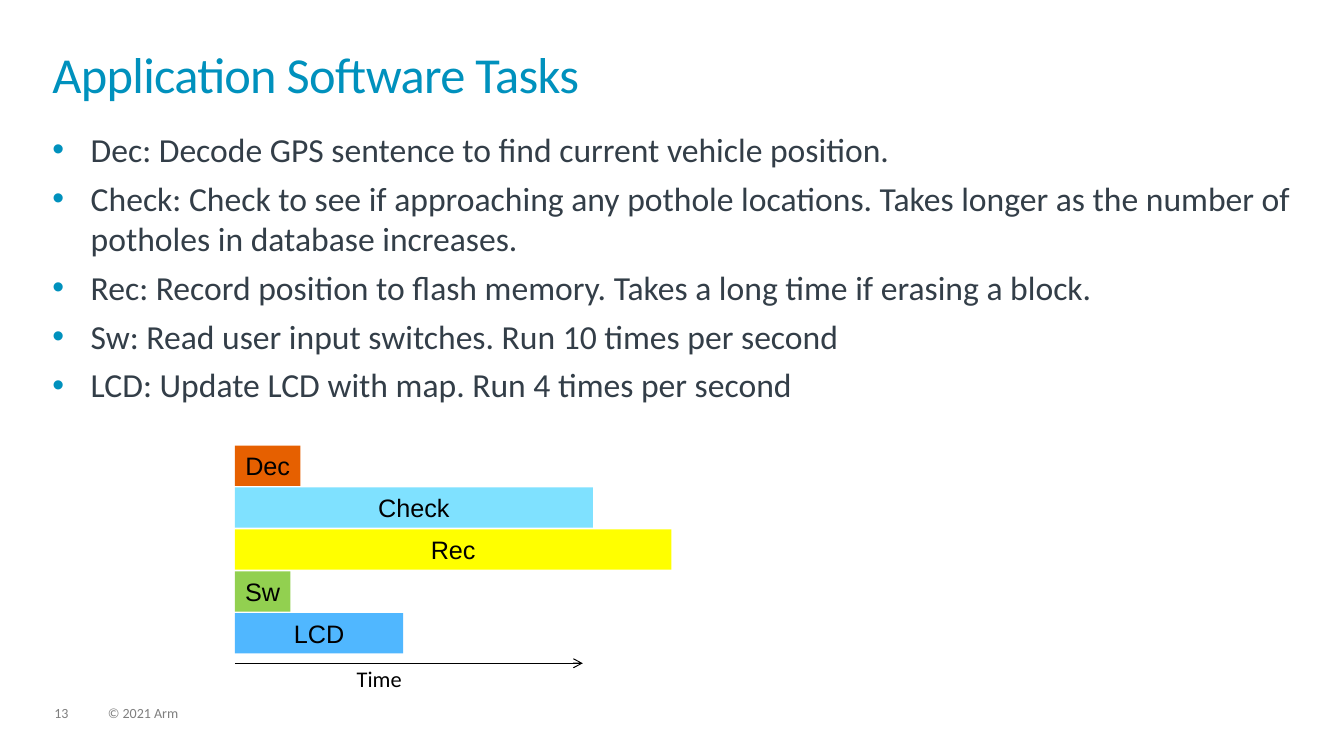
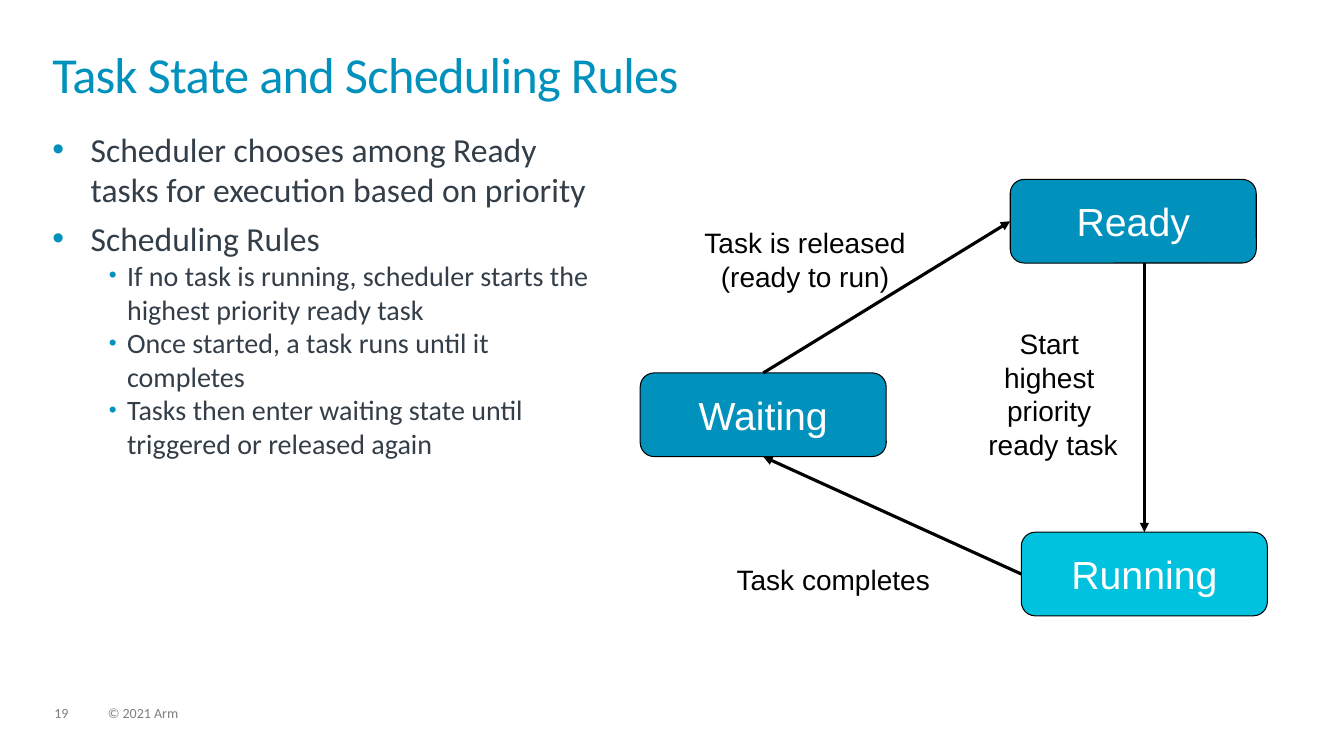
from dataclasses import dataclass

import lxml.etree
import pptx
import pptx.dml.color
import pptx.enum.shapes
import pptx.enum.text
import pptx.oxml
import pptx.oxml.ns
import pptx.util

Inches = pptx.util.Inches
Pt = pptx.util.Pt
SHAPES = pptx.enum.shapes.MSO_SHAPE
ALIGN = pptx.enum.text.PP_ALIGN
ANCHOR = pptx.enum.text.MSO_ANCHOR
qn = pptx.oxml.ns.qn


@dataclass(frozen=True)
class Theme:
    # Colours
    accent: str = "0091BD"
    active: str = "00C1DE"
    body: str = "333E48"
    footer: str = "7F7F7F"
    black: str = "000000"
    white: str = "FFFFFF"
    # Fonts
    text_font: str = "Calibri"
    diagram_font: str = "Arial"
    # Type sizes in points
    title_size: int = 36
    body_sizes: tuple = (24, 20)
    state_size: int = 28
    label_size: int = 20
    bar_size: int = 18
    axis_size: int = 16
    footer_size: int = 10


THEME = Theme()
TITLE_BOX = (0.52, 0.52, 12.28, 0.72)
# Per level: left margin, hanging indent, space before (pt), bullet size (%)
BULLET_LEVELS = ((0.38, 0.38, 6, 100), (0.74, 0.18, 0, 80))


def rgb(value):
    return pptx.dml.color.RGBColor.from_string(value)


def style(paragraph, size, color, font):
    for run in paragraph.runs:
        run.font.size = Pt(size)
        run.font.name = font
        run.font.color.rgb = rgb(color)


def add_text(slide, box, paragraphs, size, color, font=THEME.text_font,
             align=ALIGN.LEFT, inset=True, wrap=True):
    frame = slide.shapes.add_textbox(*map(Inches, box)).text_frame
    frame.word_wrap = wrap
    if not inset:
        frame.margin_left = frame.margin_right = 0
        frame.margin_top = frame.margin_bottom = 0
    for index, text in enumerate(paragraphs):
        paragraph = frame.add_paragraph() if index else frame.paragraphs[0]
        paragraph.text = text
        paragraph.alignment = align
        style(paragraph, size, color, font)
    return frame


def add_block(slide, kind, box, label, fill, size, color):
    block = slide.shapes.add_shape(kind, *map(Inches, box))
    block.shadow.inherit = False
    block.fill.solid()
    block.fill.fore_color.rgb = rgb(fill)
    block.line.fill.background()
    frame = block.text_frame
    frame.text = label
    frame.word_wrap = False
    frame.vertical_anchor = ANCHOR.MIDDLE
    frame.paragraphs[0].alignment = ALIGN.CENTER
    style(frame.paragraphs[0], size, color, THEME.diagram_font)
    return block


def add_arrow(slide, start, end, width, head):
    arrow = slide.shapes.add_connector(
        pptx.enum.shapes.MSO_CONNECTOR.STRAIGHT, *start, *end)
    arrow.line.color.rgb = rgb(THEME.black)
    arrow.line.width = Pt(width)
    lxml.etree.SubElement(arrow.line._get_or_add_ln(), qn("a:tailEnd"), type=head)
    lxml.etree.SubElement(arrow._element.spPr, qn("a:effectLst"))
    return arrow


def add_bullet(paragraph, margin, hanging, percent):
    properties = paragraph._p.get_or_add_pPr()
    properties.set("marL", str(Inches(margin)))
    properties.set("indent", str(-Inches(hanging)))
    color = lxml.etree.SubElement(properties, qn("a:buClr"))
    lxml.etree.SubElement(color, qn("a:srgbClr"), val=THEME.accent)
    lxml.etree.SubElement(properties, qn("a:buSzPct"), val=str(percent * 1000))
    lxml.etree.SubElement(properties, qn("a:buFont"), typeface="Arial")
    lxml.etree.SubElement(properties, qn("a:buChar"), char="•")


def bullet_list(slide, box, items):
    """Place (level, text) items as a bulleted list."""
    frame = add_text(slide, box, [text for _, text in items],
                     THEME.body_sizes[0], THEME.body, inset=False)
    for index, (paragraph, (level, _)) in enumerate(zip(frame.paragraphs, items)):
        margin, hanging, before, percent = BULLET_LEVELS[level]
        paragraph.level = level
        add_bullet(paragraph, margin, hanging, percent)
        paragraph.space_before = Pt(before if index else 0)
        style(paragraph, THEME.body_sizes[level], THEME.body, THEME.text_font)


def base_slide(deck, title, number):
    """Start a slide with the shared title and footer."""
    slide = deck.slides.add_slide(deck.slide_layouts[6])
    # Footer
    for left, width, text in ((0.54, 0.34, number), (1.07, 5.07, "© 2021 Arm")):
        footer = add_text(slide, (left, 7.01, width, 0.15), [text],
                          THEME.footer_size, THEME.footer, inset=False)
        footer.paragraphs[0].line_spacing = 0.9
    # Title
    heading = add_text(slide, TITLE_BOX, [title], THEME.title_size,
                       THEME.accent, inset=False).paragraphs[0]
    heading.line_spacing = 0.85
    heading.runs[0].font._element.set("spc", "-50")
    return slide


def duration_bars(slide, box, tasks):
    """Stack one bar per task above a time axis."""
    left, top, width, height = box
    step = height / len(tasks)
    for row, (name, length, fill) in enumerate(tasks):
        add_block(slide, SHAPES.RECTANGLE, (left, top + row * step, length, 0.4),
                  name, fill, THEME.bar_size, THEME.black)
    # Time axis
    axis_y = top + height + 0.08
    add_arrow(slide, (Inches(left), Inches(axis_y)),
              (Inches(left + width), Inches(axis_y)), 0.75, "arrow")
    add_text(slide, (left + 1.11, axis_y - 0.03, 0.67, 0.37), ["Time"],
             THEME.axis_size, THEME.black, wrap=False)


def state_diagram(slide, box):
    """Draw the three task states and the transitions between them."""
    left, top = box[:2]

    def state(name, x, y, fill):
        block = add_block(slide, SHAPES.ROUNDED_RECTANGLE,
                          (left + x, top + y, 2.44, 0.83), name, fill,
                          THEME.state_size, THEME.white)
        block.line.color.rgb = rgb(THEME.black)
        block.line.width = Pt(0.75)
        return block

    def middle(block):
        return block.left + block.width // 2, block.top + block.height // 2

    # States
    ready = state("Ready", 3.67, 0, THEME.accent)
    running = state("Running", 3.78, 3.5, THEME.active)
    waiting = state("Waiting", 0, 1.92, THEME.accent)

    # Transitions
    waiting_x, running_x = middle(waiting)[0], middle(running)[0]
    transitions = (
        ((waiting_x, waiting.top), (ready.left, middle(ready)[1])),
        ((running_x, ready.top + ready.height), (running_x, running.top)),
        ((running.left, middle(running)[1]),
         (waiting_x, waiting.top + waiting.height)),
    )
    for start, end in transitions:
        add_arrow(slide, start, end, 2.25, "triangle")

    # Transition labels
    labels = (
        ((0.53, 0.41, 2.21, 0.77), ["Task is released\n(ready to run)"]),
        ((0.85, 3.75, 2.13, 0.44), ["Task completes"]),
        ((3.35, 1.41, 1.49, 1.45), ["Start \nhighest ", "priority ", "ready task"]),
    )
    for (x, y, width, height), lines in labels:
        frame = add_text(slide, (left + x, top + y, width, height), [""],
                         THEME.label_size, THEME.black, wrap=False)
        for index, text in enumerate(lines):
            line = frame.add_paragraph() if index else frame.paragraphs[0]
            line.text = text
            line.alignment = ALIGN.CENTER
            line.font.size = Pt(THEME.label_size)
            style(line, THEME.label_size, THEME.black, THEME.diagram_font)


def tasks_slide(deck):
    slide = base_slide(deck, "Application Software Tasks", "13")
    bullet_list(slide, (0.52, 1.28, 12.28, 2.81), (
        (0, "Dec: Decode GPS sentence to find current vehicle position."),
        (0, "Check: Check to see if approaching any pothole locations. "
            "Takes longer as the number of potholes in database increases."),
        (0, "Rec: Record position to flash memory. "
            "Takes a long time if erasing a block."),
        (0, "Sw: Read user input switches. Run 10 times per second"),
        (0, "LCD: Update LCD with map. Run 4 times per second"),
    ))
    duration_bars(slide, (2.33, 4.42, 3.45, 2.08), (
        ("Dec", 0.65, "E66000"),
        ("Check", 3.55, "7FE1FF"),
        ("Rec", 4.33, "FFFF00"),
        ("Sw", 0.55, "92D050"),
        ("LCD", 1.67, "50B7FF"),
    ))


def states_slide(deck):
    slide = base_slide(deck, "Task State and Scheduling Rules", "19")
    bullet_list(slide, (0.52, 1.28, 5.35, 5.41), (
        (0, "Scheduler chooses among Ready tasks for execution based on priority"),
        (0, "Scheduling Rules"),
        (1, "If no task is running, scheduler starts the highest priority ready task"),
        (1, "Once started, a task runs until it completes"),
        (1, "Tasks then enter waiting state until triggered or released again"),
    ))
    state_diagram(slide, (6.35, 1.78, 6.22, 4.33))


def main():
    deck = pptx.Presentation()
    deck.slide_width = Inches(13.33)
    deck.slide_height = Inches(7.5)
    tasks_slide(deck)
    states_slide(deck)
    deck.save("out.pptx")


if __name__ == "__main__":
    main()
